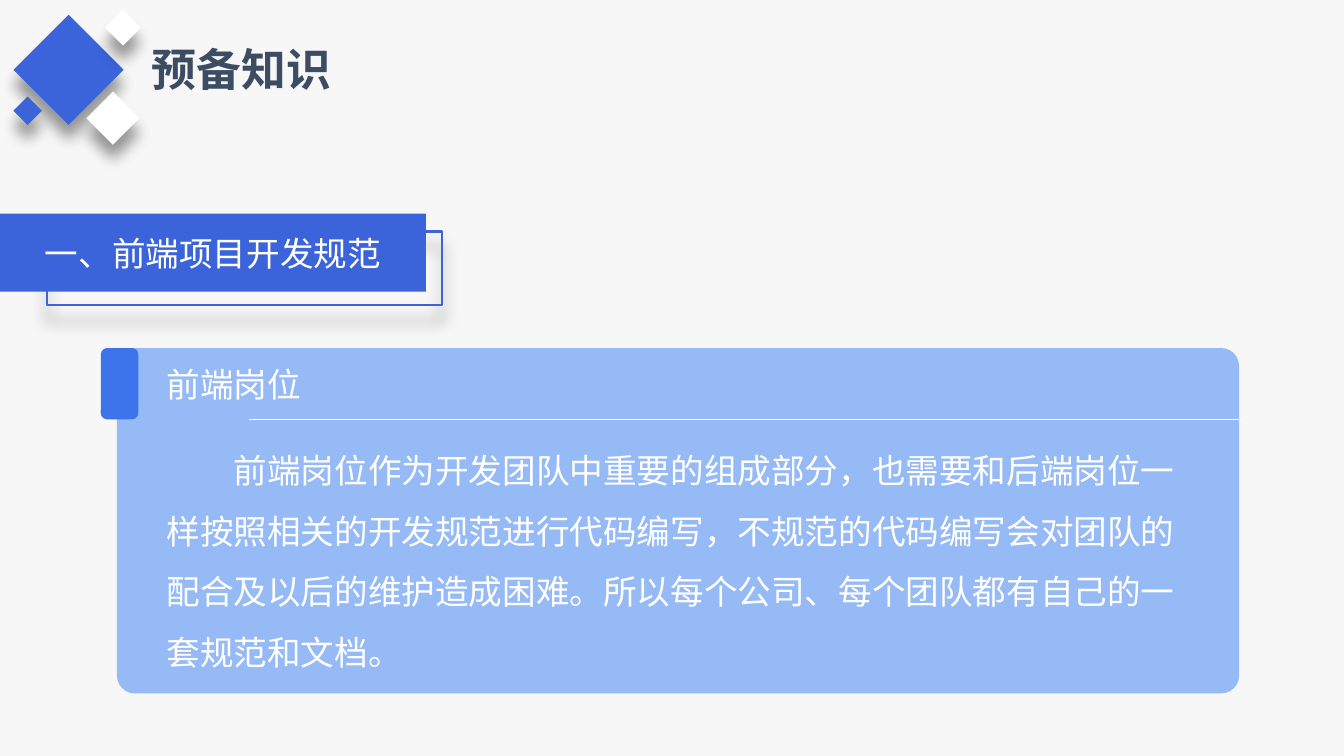
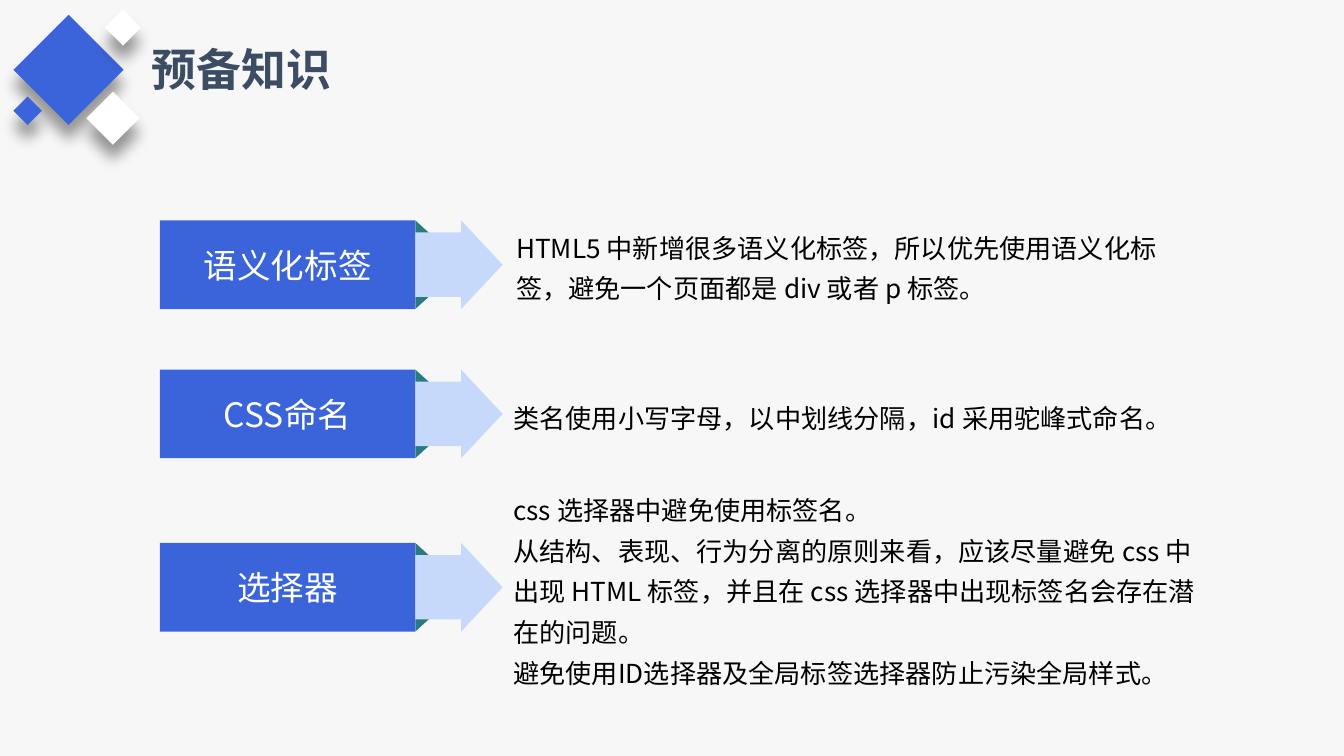
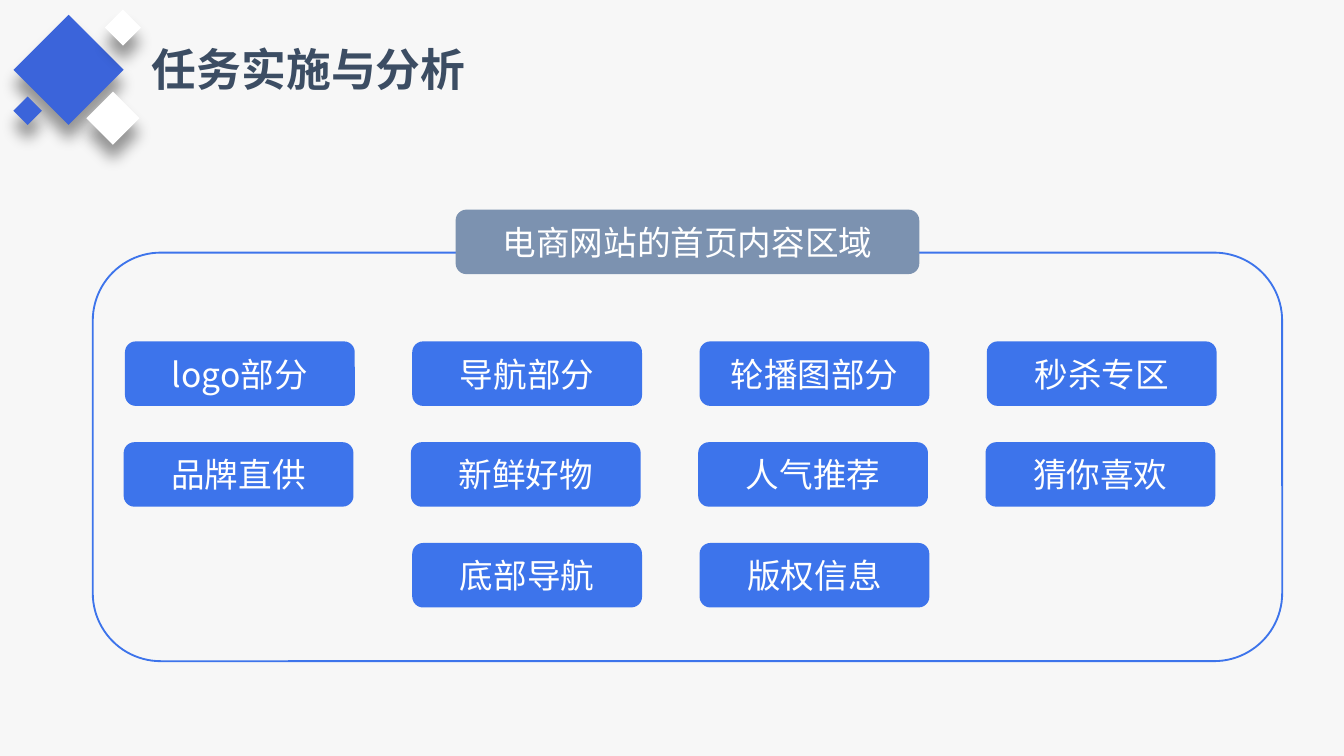
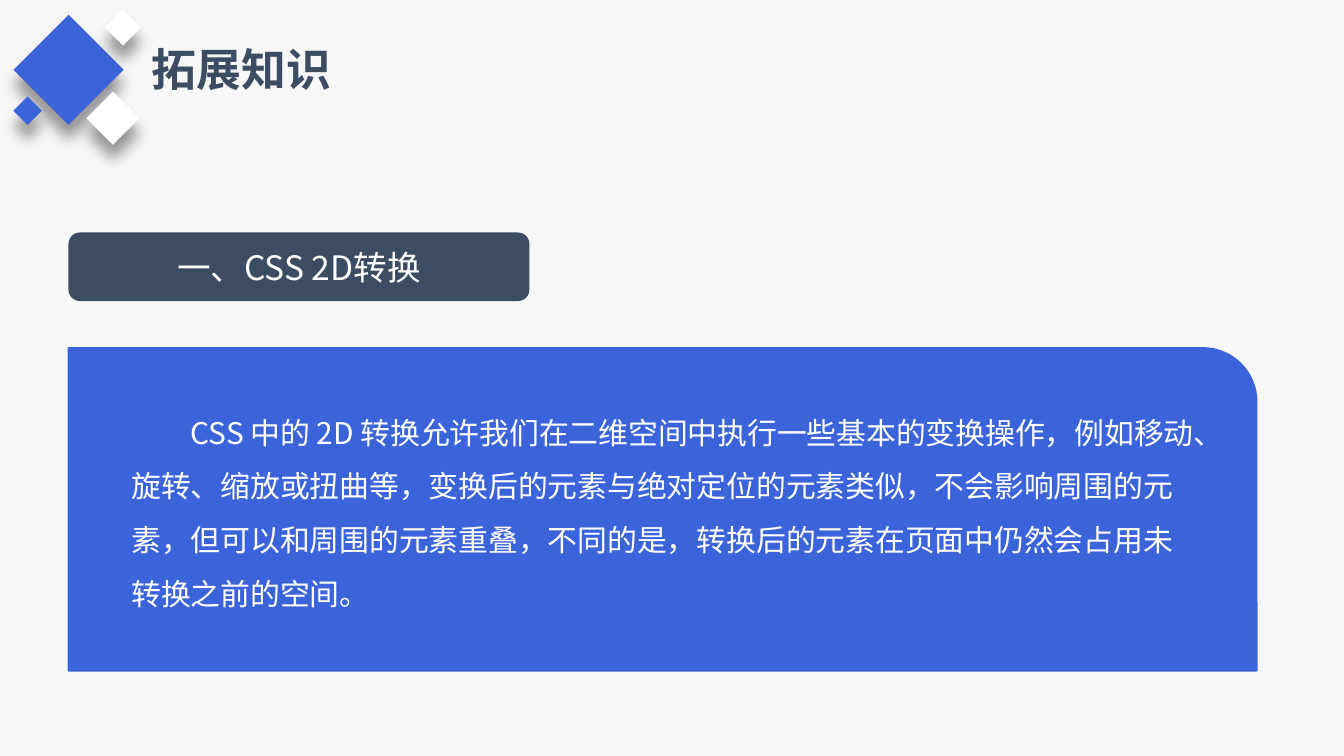
import lxml.etree
import pptx
import pptx.dml.color
import pptx.enum.shapes
import pptx.enum.text
import pptx.oxml.ns
import pptx.util

RGB = pptx.dml.color.RGBColor
SHAPE = pptx.enum.shapes.MSO_SHAPE
ALIGN = pptx.enum.text.PP_ALIGN
ANCHOR = pptx.enum.text.MSO_ANCHOR
AUTO_SIZE = pptx.enum.text.MSO_AUTO_SIZE
Inches, Pt, qn = pptx.util.Inches, pptx.util.Pt, pptx.oxml.ns.qn

SLIDE_WIDTH = Inches(10)
SLIDE_HEIGHT = SLIDE_WIDTH * 9 // 16

FONT = "Noto Sans CJK SC"
BACKGROUND = RGB(0xF7, 0xF7, 0xF7)
WHITE = RGB(0xFF, 0xFF, 0xFF)
BLACK = RGB(0x00, 0x00, 0x00)
SLATE = RGB(0x3C, 0x4D, 0x63)
GREY_BLUE = RGB(0x7C, 0x92, 0xB0)
ROYAL = RGB(0x3B, 0x64, 0xDA)
BRIGHT = RGB(0x3D, 0x74, 0xEB)
SKY = RGB(0x96, 0xBA, 0xF6)
PALE = RGB(0xC7, 0xD9, 0xFA)
TEAL = RGB(0x2A, 0x7A, 0x82)

# left, top, side, colour
DIAMONDS = [
    (0.22, 0.23, 0.58, ROYAL),
    (0.70, 0.74, 0.28, WHITE),
    (0.82, 0.11, 0.19, WHITE),
    (0.13, 0.75, 0.15, ROYAL),
]

STANDARDS = {
    "title": "预备知识",
    "section": "一、前端项目开发规范",
    "heading": "前端岗位",
    "body": "前端岗位作为开发团队中重要的组成部分，也需要和后端岗位一样按照相关的开发规范进行代码编写，"
            "不规范的代码编写会对团队的配合及以后的维护造成困难。所以每个公司、每个团队都有自己的一套规范和文档。",
}

RULES = {
    "title": "预备知识",
    # top of the label, label, explanation, box of the explanation
    "rows": [
        (1.64, "语义化标签",
         ["HTML5 中新增很多语义化标签，所以优先使用语义化标签，避免一个页面都是 div 或者 p 标签。"],
         (3.84, 1.61, 4.96, 0.7)),
        (2.75, "CSS命名",
         ["类名使用小写字母，以中划线分隔，id 采用驼峰式命名。"],
         (3.82, 2.75, 5.1, 0.65)),
        (4.04, "选择器",
         ["css 选择器中避免使用标签名。",
          "从结构、表现、行为分离的原则来看，应该尽量避免 css 中出现 HTML 标签，"
          "并且在 css 选择器中出现标签名会存在潜在的问题。",
          "避免使用ID选择器及全局标签选择器防止污染全局样式。"],
         (3.82, 4.04, 5.1, 0.65)),
    ],
}

HOMEPAGE = {
    "title": "任务实施与分析",
    "heading": "电商网站的首页内容区域",
    # left edge of the row, first column, labels
    "rows": [
        (0.93, 0, ["logo部分", "导航部分", "轮播图部分", "秒杀专区"]),
        (0.92, 0, ["品牌直供", "新鲜好物", "人气推荐", "猜你喜欢"]),
        (0.93, 1, ["底部导航", "版权信息"]),
    ],
}

TRANSFORMS = {
    "title": "拓展知识",
    "section": "一、CSS 2D转换",
    "body": "CSS 中的 2D 转换允许我们在二维空间中执行一些基本的变换操作，例如移动、旋转、缩放或扭曲等，"
            "变换后的元素与绝对定位的元素类似，不会影响周围的元素，但可以和周围的元素重叠，不同的是，"
            "转换后的元素在页面中仍然会占用未转换之前的空间。",
}


def box(left, top, width, height):
    return [Inches(length) for length in (left, top, width, height)]


def write(frame, paragraphs, size, color, align=ALIGN.LEFT, bold=False, spacing=None, indent=0):
    for number, words in enumerate(paragraphs):
        paragraph = frame.add_paragraph() if number else frame.paragraphs[0]
        paragraph.text = words
        paragraph.alignment = align
        if spacing:
            paragraph.line_spacing = spacing
        if indent:
            properties = paragraph._p.get_or_add_pPr()
            properties.set("marL", "0")
            properties.set("indent", str(Inches(indent)))
        font = paragraph.font
        font.size, font.bold, font.name = Pt(size), bold, FONT
        font.color.rgb = color
        east_asian = lxml.etree.SubElement(paragraph._p.pPr.find(qn("a:defRPr")), qn("a:ea"))
        east_asian.set("typeface", FONT)


def add_block(slide, kind, place, fill=None, line=None, line_width=1, label=None, margin=None, adjust=()):
    block = slide.shapes.add_shape(kind, *box(*place))
    block.shadow.inherit = False
    for number, value in enumerate(adjust):
        block.adjustments[number] = value
    if fill is None:
        block.fill.background()
    else:
        block.fill.solid()
        block.fill.fore_color.rgb = fill
    if line is None:
        block.line.fill.background()
    else:
        block.line.color.rgb = line
        block.line.width = Pt(line_width)
    if label:
        block.text_frame.vertical_anchor = ANCHOR.MIDDLE
        if margin is not None:
            set_margins(block.text_frame, margin)
        write(block.text_frame, [label], 18, WHITE, ALIGN.CENTER)
    return block


def set_margins(frame, margin):
    frame.margin_left = frame.margin_right = frame.margin_top = frame.margin_bottom = Inches(margin)


def add_text(slide, place, paragraphs, size, color, **style):
    frame = slide.shapes.add_textbox(*box(*place)).text_frame
    frame.word_wrap = True
    write(frame, paragraphs, size, color, **style)
    return frame


def cast_shadow(block):
    """Soft black shadow straight below the block."""
    effects = block._element.spPr.find(qn("a:effectLst"))
    shadow = lxml.etree.SubElement(effects, qn("a:outerShdw"), blurRad=str(Pt(8)), dist=str(Pt(8)),
                                   dir="5400000", algn="t", rotWithShape="0")
    color = lxml.etree.SubElement(shadow, qn("a:srgbClr"), val=str(BLACK))
    lxml.etree.SubElement(color, qn("a:alpha"), val="40000")


def start_slide(deck, heading):
    """Add a slide with the title and the cluster of diamonds."""
    slide = deck.slides.add_slide(deck.slide_layouts.get_by_name("Title Only"))
    title = slide.shapes.title
    title.left, title.top, title.width, title.height = box(1.03, 0.26, 0.2 + len(heading) / 3, 0.5)
    title.text_frame.word_wrap = False
    title.text_frame.auto_size = AUTO_SIZE.SHAPE_TO_FIT_TEXT
    title.text_frame.vertical_anchor = ANCHOR.TOP
    write(title.text_frame, [heading], 24, SLATE, bold=True)
    for left, top, side, color in DIAMONDS:
        diamond = add_block(slide, SHAPE.RECTANGLE, (left, top, side, side), color)
        diamond.rotation = 45
        cast_shadow(diamond)
    return slide


def build_standards(deck):
    slide = start_slide(deck, STANDARDS["title"])
    frame = add_block(slide, SHAPE.RECTANGLE, (0.35, 1.72, 2.94, 0.55), line=ROYAL, line_width=1.5)
    cast_shadow(frame)
    add_block(slide, SHAPE.RECTANGLE, (0, 1.59, 3.17, 0.58), ROYAL, label=STANDARDS["section"])
    add_block(slide, SHAPE.ROUNDED_RECTANGLE, (0.87, 2.59, 8.35, 2.57), SKY, adjust=[0.052])
    add_block(slide, SHAPE.ROUNDED_RECTANGLE, (0.75, 2.59, 0.28, 0.53), BRIGHT)
    add_text(slide, (1.14, 2.66, 5.56, 0.4), [STANDARDS["heading"]], 18, WHITE)
    divider = slide.shapes.add_connector(pptx.enum.shapes.MSO_CONNECTOR.STRAIGHT,
                                         *box(1.85, 3.12, 9.24, 3.12))
    divider.line.color.rgb = WHITE
    divider.line.width = Pt(0.25)
    lxml.etree.SubElement(divider._element.spPr, qn("a:effectLst"))
    add_text(slide, (1.14, 3.15, 7.82, 1.92), [STANDARDS["body"]], 18, WHITE, spacing=1.5, indent=0.5)


def build_rules(deck):
    slide = start_slide(deck, RULES["title"])
    left, width, height = 1.19, 1.9, 0.66
    fold_width, fold_height = 0.11, 0.1
    for top, label, explanation, place in RULES["rows"]:
        for fold_top, flipped in ((top + height - fold_height, True), (top, False)):
            fold = add_block(slide, SHAPE.RIGHT_TRIANGLE,
                             (left + width, fold_top, fold_width, fold_height), TEAL)
            if flipped:
                fold._element.spPr.xfrm.set("flipV", "1")
        add_block(slide, SHAPE.RIGHT_ARROW, (1.6, top, 2.14, height), PALE, adjust=[0.726, 0.468])
        add_block(slide, SHAPE.RECTANGLE, (left, top, width, height), ROYAL, label=label, margin=0)
        frame = add_text(slide, place, explanation, 14, BLACK, spacing=1.3)
        frame.vertical_anchor = ANCHOR.MIDDLE
        set_margins(frame, 0)


def build_homepage(deck):
    slide = start_slide(deck, HOMEPAGE["title"])
    top, width, height = 2.54, 1.71, 0.48
    column_step, row_step = width * 1.25, 0.75
    for row, (left, first_column, labels) in enumerate(HOMEPAGE["rows"]):
        for column, label in enumerate(labels, first_column):
            place = (left + column * column_step, top + row * row_step, width, height)
            add_block(slide, SHAPE.ROUNDED_RECTANGLE, place, BRIGHT, label=label)
    add_block(slide, SHAPE.ROUNDED_RECTANGLE, (0.69, 1.88, 8.85, 3.04), line=BRIGHT)
    add_block(slide, SHAPE.ROUNDED_RECTANGLE, (3.39, 1.56, 3.45, height), GREY_BLUE,
              label=HOMEPAGE["heading"])


def build_transforms(deck):
    slide = start_slide(deck, TRANSFORMS["title"])
    add_block(slide, SHAPE.ROUND_1_RECTANGLE, (0.51, 2.59, 8.84, 2.4), ROYAL, line=ROYAL)
    add_block(slide, SHAPE.ROUNDED_RECTANGLE, (0.51, 1.73, 3.43, 0.51), SLATE,
              label=TRANSFORMS["section"])
    add_text(slide, (0.88, 2.9, 8.14, 1.72), [TRANSFORMS["body"]], 16, WHITE, spacing=1.5, indent=0.44)


def main():
    deck = pptx.Presentation()
    deck.slide_width, deck.slide_height = SLIDE_WIDTH, SLIDE_HEIGHT
    background = deck.slide_master.background.fill
    background.solid()
    background.fore_color.rgb = BACKGROUND
    for build in (build_standards, build_rules, build_homepage, build_transforms):
        build(deck)
    deck.save("out.pptx")


if __name__ == "__main__":
    main()
